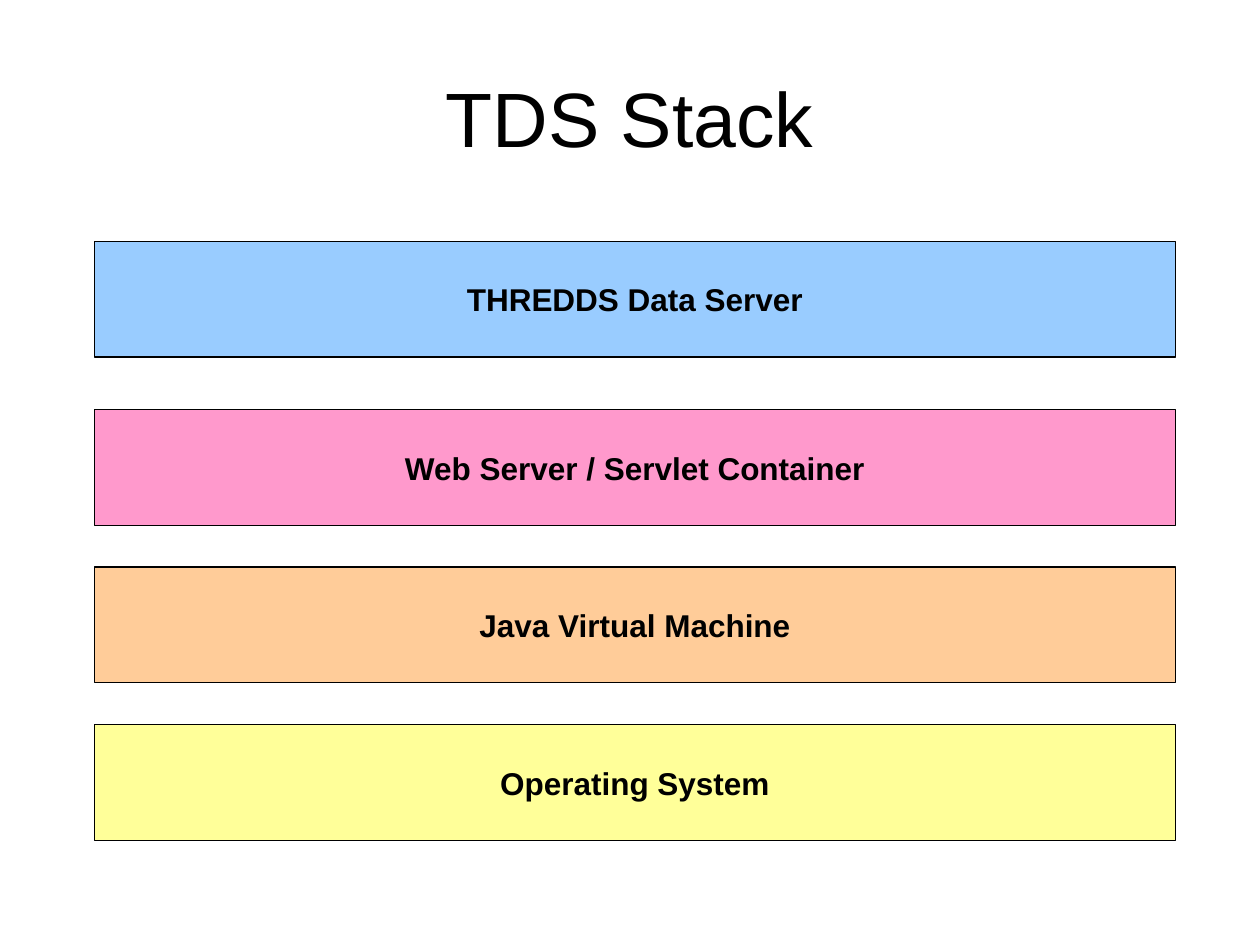
from pptx import Presentation
from pptx.dml.color import RGBColor
from pptx.enum import shapes, text
from pptx.util import Cm, Pt

BLACK = RGBColor(0x00, 0x00, 0x00)
BLUE = RGBColor(0x99, 0xCC, 0xFF)
PINK = RGBColor(0xFF, 0x99, 0xCC)
ORANGE = RGBColor(0xFF, 0xCC, 0x99)
YELLOW = RGBColor(0xFF, 0xFF, 0x99)


def set_text(tf, words, size, bold):
    tf.text = words
    tf.vertical_anchor = text.MSO_ANCHOR.MIDDLE
    p = tf.paragraphs[0]
    p.alignment = text.PP_ALIGN.CENTER
    font = p.runs[0].font
    font.name = "Arial"
    font.size = Pt(size)
    font.bold = bold
    font.color.rgb = BLACK


prs = Presentation()
prs.slide_width, prs.slide_height = Cm(25.4), Cm(19.05)
s = prs.slides.add_slide(prs.slide_layouts[5])

title = s.shapes.title
title.left, title.top, title.width, title.height = Cm(1.27), Cm(0.76), Cm(22.86), Cm(3.18)
set_text(title.text_frame, "TDS Stack", 44, False)

layers = [
    ("Operating System", YELLOW, 14.61),
    ("Java Virtual Machine", ORANGE, 11.43),
    ("Web Server / Servlet Container", PINK, 8.26),
    ("THREDDS Data Server", BLUE, 4.87),
]
for words, color, top in layers:
    sp = s.shapes.add_shape(shapes.MSO_SHAPE.RECTANGLE, Cm(1.9), Cm(top), Cm(21.8), Cm(2.33))
    sp.shadow.inherit = False
    sp.fill.solid()
    sp.fill.fore_color.rgb = color
    sp.line.color.rgb = BLACK
    sp.line.width = Pt(0.75)
    sp.text_frame.word_wrap = False
    set_text(sp.text_frame, words, 18, True)

prs.save("out.pptx")
